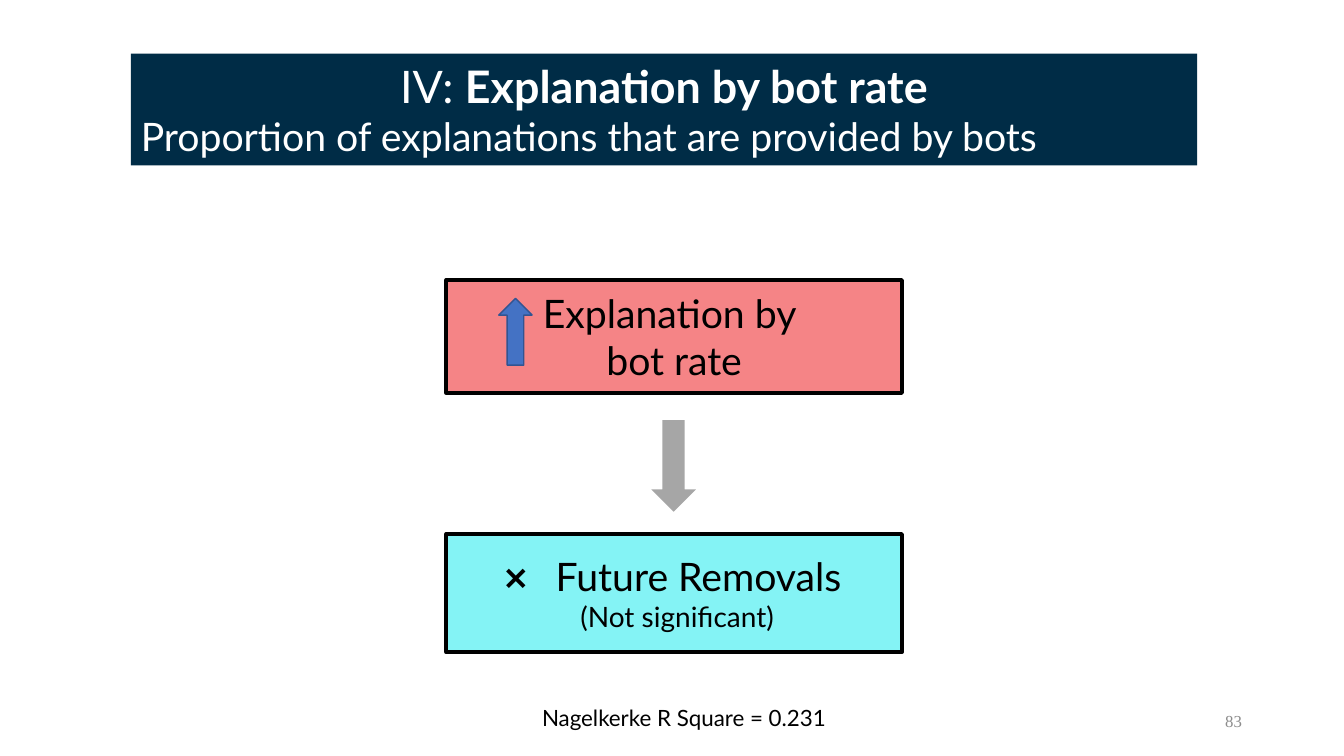
"""Slide on the explanation by bot rate and future removals."""
from dataclasses import dataclass

from pptx import Presentation
from pptx.dml.color import RGBColor
from pptx.enum.shapes import MSO_SHAPE
from pptx.enum.text import MSO_ANCHOR, PP_ALIGN
from pptx.util import Cm, Pt


@dataclass(frozen=True)
class Theme:
    """Colours, fonts and type sizes."""
    navy: str = "002C46"
    coral: str = "F58486"
    aqua: str = "84F3F5"
    grey: str = "A6A6A6"
    blue: str = "4472C4"
    blue_edge: str = "325491"
    black: str = "000000"
    white: str = "FFFFFF"
    muted: str = "8C8C8C"
    font: str = "Lato"
    number_font: str = "Times New Roman"
    title: int = 32
    body: int = 28
    mark: int = 24
    note: int = 20
    caption: int = 16
    number: int = 12


class SlideBuilder:
    """Holds the theme and the current slide."""

    def __init__(self, prs, theme):
        """Add a blank slide to the presentation."""
        self.t = theme
        self.s = prs.slides.add_slide(prs.slide_layouts[6])

    def shape(self, kind, box, fill, edge=None, weight=1, rotation=0):
        """Add a filled shape with an optional outline."""
        sp = self.s.shapes.add_shape(kind, *map(Cm, box))
        sp.shadow.inherit = False
        sp.rotation = rotation
        sp.fill.solid()
        sp.fill.fore_color.rgb = RGBColor.from_string(fill)
        if edge:
            sp.line.color.rgb = RGBColor.from_string(edge)
            sp.line.width = Pt(weight)
        else:
            sp.line.fill.background()
        return sp

    def panel(self, box, fill, paragraphs, edge=None, anchor=MSO_ANCHOR.MIDDLE):
        """Add a rectangle that carries text."""
        sp = self.shape(MSO_SHAPE.RECTANGLE, box, fill, edge, 3)
        self.fill_text(sp.text_frame, paragraphs, anchor)

    def text(self, box, paragraphs, anchor=MSO_ANCHOR.TOP, wrap=True):
        """Add a text box."""
        sp = self.s.shapes.add_textbox(*map(Cm, box))
        self.fill_text(sp.text_frame, paragraphs, anchor, wrap)

    def fill_text(self, tf, paragraphs, anchor, wrap=True):
        """Fill a text frame with (alignment, indent, runs) paragraphs."""
        for name, value in {"word_wrap": wrap, "vertical_anchor": anchor}.items():
            setattr(tf, name, value)
        for i, (align, indent, runs) in enumerate(paragraphs):
            p = tf.add_paragraph() if i else tf.paragraphs[0]
            p.alignment = align
            if indent:
                p._p.get_or_add_pPr().set("marL", str(Cm(indent)))
            for words, size, color, style in runs:
                r = p.add_run()
                r.text = words
                r.font.color.rgb = RGBColor.from_string(color)
                form = {"name": self.t.font, "size": Pt(size), "bold": False} | style
                for name, value in form.items():
                    setattr(r.font, name, value)


def main():
    """Build and save the slide."""
    prs = Presentation()
    prs.slide_width, prs.slide_height = Cm(33.87), Cm(19.05)
    t = Theme()
    b = SlideBuilder(prs, t)
    left, center, right = PP_ALIGN.LEFT, PP_ALIGN.CENTER, PP_ALIGN.RIGHT

    b.panel((11.25, 13.46, 11.48, 2.97), t.aqua, [
        (center, 1.23, [("Future Removals", t.body, t.black, {})]),
        (center, 0.15, [("(Not significant)", t.note, t.black, {})]),
    ], t.black)
    b.text((23.93, 17.65, 7.62, 1.02), [
        (right, 0, [("83", t.number, t.muted, {"name": t.number_font})]),
    ], MSO_ANCHOR.MIDDLE)
    b.panel((11.25, 7.06, 11.48, 2.84), t.coral, [
        (center, 0, [("Explanation by ", t.body, t.black, {})]),
        (center, 0, [("bot rate", t.body, t.black, {})]),
    ], t.black)
    b.shape(MSO_SHAPE.RIGHT_ARROW, (15.82, 11.18, 2.31, 1.12), t.grey, rotation=90)
    b.panel((3.3, 1.35, 26.87, 2.82), t.navy, [
        (center, 0, [("IV: ", t.title, t.white, {}),
                     ("Explanation by bot rate", t.title, t.white, {"bold": True})]),
        (left, 0, [("Proportion of explanations that are provided by bots",
                    t.body, t.white, {})]),
    ], anchor=MSO_ANCHOR.TOP)
    b.shape(MSO_SHAPE.UP_ARROW, (12.57, 7.52, 0.84, 1.68), t.blue, t.blue_edge)
    b.text((13.41, 17.63, 8.08, 0.94), [
        (left, 0, [("Nagelkerke R Square = 0.231", t.caption, t.black, {})]),
    ], wrap=False)
    b.text((12.47, 13.92, 1.04, 1.27), [(left, 0, [("❌", t.mark, t.black, {})])])
    prs.save("out.pptx")


if __name__ == "__main__":
    main()
